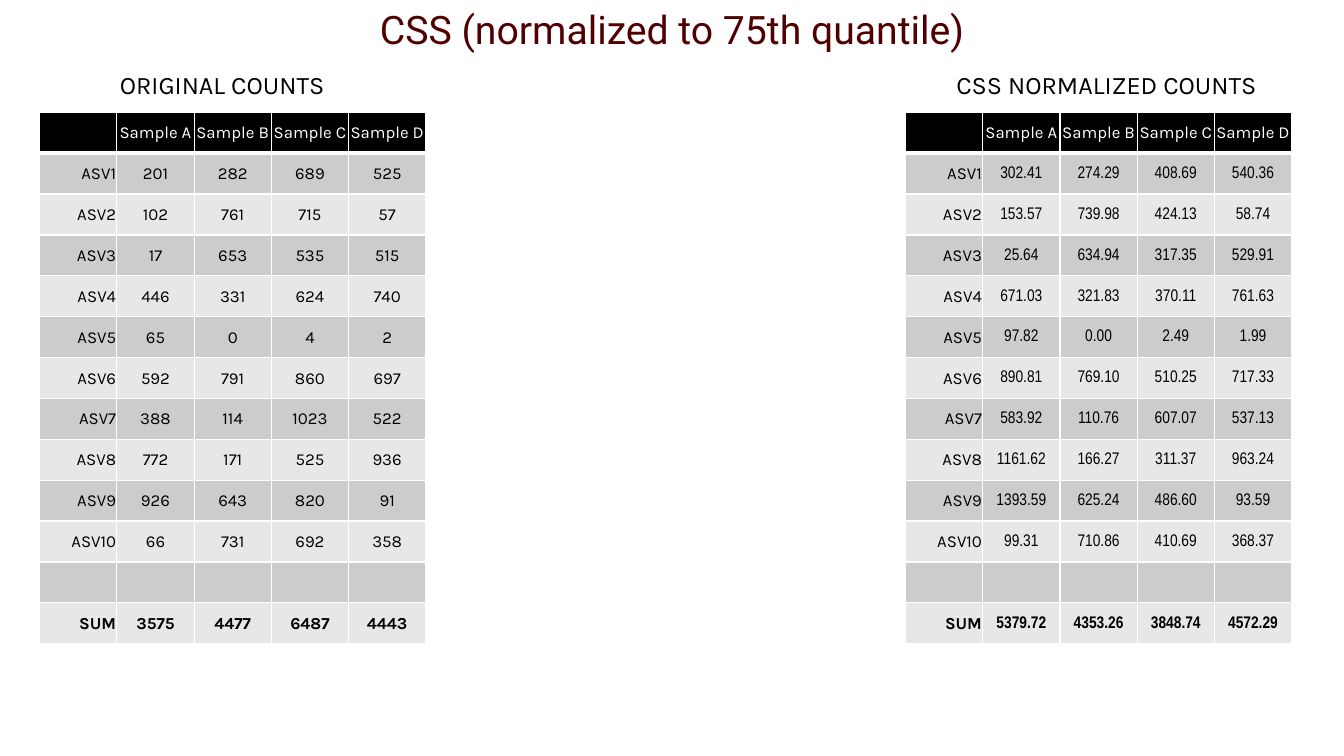
from lxml.etree import SubElement
from pptx import Presentation
from pptx.dml.color import RGBColor
from pptx.enum.text import MSO_ANCHOR as Anchor, MSO_AUTO_SIZE as AutoSize, PP_ALIGN as Align
from pptx.oxml.ns import qn
from pptx.util import Cm, Pt

MAROON = RGBColor(0x50, 0x00, 0x00)
BLACK = RGBColor(0x00, 0x00, 0x00)
WHITE = RGBColor(0xFF, 0xFF, 0xFF)
DARK_BAND = RGBColor(0xCC, 0xCC, 0xCC)
LIGHT_BAND = RGBColor(0xE7, 0xE7, 0xE7)

HEADER = ["", "Sample A", "Sample B", "Sample C", "Sample D"]
ROW_NAMES = [f"ASV{number}" for number in range(1, 11)] + ["", "SUM"]
BLANK_ROW = [""] * 4

ORIGINAL_COUNTS = [
    ["201", "282", "689", "525"],
    ["102", "761", "715", "57"],
    ["17", "653", "535", "515"],
    ["446", "331", "624", "740"],
    ["65", "0", "4", "2"],
    ["592", "791", "860", "697"],
    ["388", "114", "1023", "522"],
    ["772", "171", "525", "936"],
    ["926", "643", "820", "91"],
    ["66", "731", "692", "358"],
    BLANK_ROW,
    ["3575", "4477", "6487", "4443"],
]
NORMALIZED_COUNTS = [
    ["302.41", "274.29", "408.69", "540.36"],
    ["153.57", "739.98", "424.13", "58.74"],
    ["25.64", "634.94", "317.35", "529.91"],
    ["671.03", "321.83", "370.11", "761.63"],
    ["97.82", "0.00", "2.49", "1.99"],
    ["890.81", "769.10", "510.25", "717.33"],
    ["583.92", "110.76", "607.07", "537.13"],
    ["1161.62", "166.27", "311.37", "963.24"],
    ["1393.59", "625.24", "486.60", "93.59"],
    ["99.31", "710.86", "410.69", "368.37"],
    BLANK_ROW,
    ["5379.72", "4353.26", "3848.74", "4572.29"],
]


def add_heading(slide, text, left, top, width, height, font_name, size, color):
    text_box = slide.shapes.add_textbox(Cm(left), Cm(top), Cm(width), Cm(height))
    text_frame = text_box.text_frame
    text_frame.text = text
    text_frame.auto_size = AutoSize.SHAPE_TO_FIT_TEXT
    font = text_frame.paragraphs[0].runs[0].font
    font.name, font.size, font.color.rgb = font_name, Pt(size), color
    return text_frame


def add_borders(cell, top_width, bottom_width):
    properties = cell._tc.get_or_add_tcPr()
    for side, width in (("L", 1), ("R", 1), ("T", top_width), ("B", bottom_width)):
        line = SubElement(properties, qn(f"a:ln{side}"), w=str(Pt(width)))
        fill = SubElement(line, qn("a:solidFill"))
        SubElement(fill, qn("a:srgbClr"), val=str(WHITE))


presentation = Presentation()
presentation.slide_width, presentation.slide_height = Cm(33.87), Cm(19.05)
slide = presentation.slides.add_slide(presentation.slide_layouts[6])

# Title
title = add_heading(slide, "CSS (normalized to 75th quantile)",
                    0, 0, 33.87, 1.45, "Roboto", 28, MAROON)
title.word_wrap = True
title.paragraphs[0].alignment = Align.CENTER

# Both count tables with their headings
panels = [
    ("ORIGINAL COUNTS", 2.77, 5.89, 1.0, ORIGINAL_COUNTS, "Karla"),
    ("CSS NORMALIZED COUNTS", 23.85, 8.2, 22.82, NORMALIZED_COUNTS, "Arial Narrow"),
]
for heading, heading_left, heading_width, table_left, counts, count_font in panels:
    heading_frame = add_heading(slide, heading, heading_left, 1.63,
                                heading_width, 1.02, "Karla", 18, BLACK)
    heading_frame.word_wrap = False

    rows = [HEADER] + [[name] + values for name, values in zip(ROW_NAMES, counts)]
    table = slide.shapes.add_table(len(rows), len(HEADER), Cm(table_left), Cm(2.83),
                                   Cm(9.73), Cm(13.39)).table
    for row_index, row in enumerate(rows):
        is_header = row_index == 0
        band = DARK_BAND if row_index % 2 else LIGHT_BAND
        for column_index, text in enumerate(row):
            cell = table.cell(row_index, column_index)
            add_borders(cell, 3 if row_index == 1 else 1, 3 if is_header else 1)
            cell.fill.solid()
            cell.fill.fore_color.rgb = BLACK if is_header else band
            cell.margin_left = cell.margin_right = cell.margin_top = Cm(0.02)
            cell.margin_bottom = 0
            cell.vertical_anchor = Anchor.MIDDLE
            cell.text = text
            paragraph = cell.text_frame.paragraphs[0]
            is_row_name = column_index == 0
            paragraph.alignment = Align.RIGHT if is_row_name else Align.CENTER
            for run in paragraph.runs:
                run.font.name = "Karla" if is_header or is_row_name else count_font
                run.font.size = Pt(12)
                run.font.bold = row[0] == "SUM"
                run.font.color.rgb = WHITE if is_header else BLACK

presentation.save("out.pptx")
